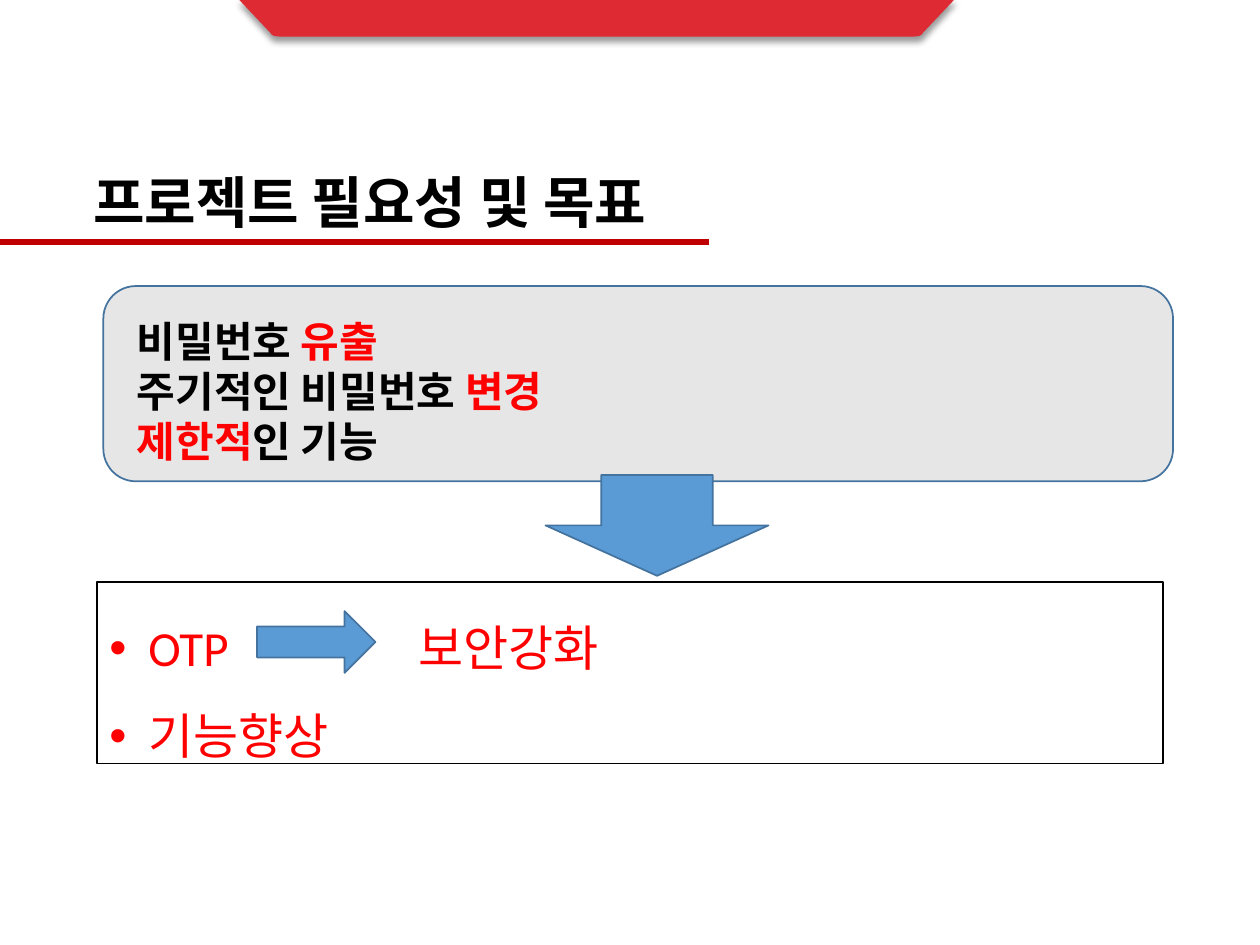
from lxml import etree
from pptx import Presentation, util as u
from pptx.dml.color import RGBColor
from pptx.enum import shapes, text
from pptx.oxml import parse_xml
from pptx.oxml.ns import qn

# The grid has 100 columns and 75 rows, each a tenth of an inch.
COLS, ROWS = 100, 75
CELL = u.Inches(0.1)

BLACK = RGBColor(0, 0, 0)
RED = RGBColor(0xFF, 0, 0)
CRIMSON = RGBColor(0xDE, 0x2A, 0x33)
DARK = RGBColor(0xC0, 0, 0)
GREY = RGBColor(0xE7, 0xE6, 0xE6)
BLUE = RGBColor(0x5B, 0x9B, 0xD5)
NAVY = RGBColor(0x43, 0x73, 0x9E)
KIND = shapes.MSO_SHAPE
NS = 'xmlns:a="http://schemas.openxmlformats.org/drawingml/2006/main"'


def grid(*nums):
    return [round(n * CELL) for n in nums]


def write(para, words, size=24, font="Calibri", color=BLACK, bold=False):
    run = para.add_run()
    run.text = words
    run.font.size = u.Pt(size)
    run.font.name = font
    run.font.bold = bold
    run.font.color.rgb = color


def draw(slide, kind, box, fill=None, line=NAVY, width=1):
    shape = slide.shapes.add_shape(kind, *grid(*box))
    shape.shadow.inherit = False
    if fill is None:
        shape.fill.background()
    else:
        shape.fill.solid()
        shape.fill.fore_color.rgb = fill
    shape.line.color.rgb = line
    shape.line.width = u.Pt(width)
    return shape


def curve(a, b, c, d, steps=6):
    """Points after a on the cubic from a to d."""
    out = []
    for i in range(1, steps + 1):
        t = i / steps
        s = 1 - t
        out.append(tuple(s**3 * p + 3 * s * s * t * q + 3 * s * t * t * r + t**3 * e
                         for p, q, r, e in zip(a, b, c, d)))
    return out


def banner(slide, box):
    """Tab with slanted sides and rounded lower corners."""
    left, top, wide, high = box
    mid, low = left + wide / 2, top + high
    bend = curve((25.2, low), (25.6, low), (25.8, low - 0.1), (25.9, low - 0.3))
    half = [(25.2, low)] + bend + [(wide / 2, top)]
    edge = [(mid + x, y) for x, y in half]
    edge += [(mid - x, y) for x, y in reversed(half)]
    pen = slide.shapes.build_freeform(*grid(*edge[0]), scale=1.0)
    pen.add_line_segments([grid(*p) for p in edge[1:]], close=True)
    shape = pen.convert_to_shape()
    shape.fill.solid()
    shape.fill.fore_color.rgb = CRIMSON
    shape.line.fill.background()
    shape.shadow.inherit = False
    glow = shape._element.spPr.find(qn("a:effectLst"))
    glow.append(parse_xml(
        f'<a:outerShdw {NS} blurRad="{u.Pt(4)}" dist="{u.Pt(3)}" dir="5400000" '
        'algn="t" rotWithShape="0"><a:srgbClr val="000000">'
        '<a:alpha val="40000"/></a:srgbClr></a:outerShdw>'))


def title(slide, box, words):
    left, top, wide, high = box
    base = top + high
    rule = slide.shapes.add_connector(
        shapes.MSO_CONNECTOR.STRAIGHT, *grid(0, base, left + wide, base))
    rule.line.color.rgb = DARK
    rule.line.width = u.Pt(3)
    etree.SubElement(rule._element.spPr, qn("a:effectLst"))
    frame = slide.shapes.add_textbox(*grid(*box)).text_frame
    frame.word_wrap = False
    frame.auto_size = text.MSO_AUTO_SIZE.SHAPE_TO_FIT_TEXT
    write(frame.paragraphs[0], words, size=32, bold=True)


def needs(slide, box, lines):
    frame = draw(slide, KIND.ROUNDED_RECTANGLE, box, GREY).text_frame
    frame.vertical_anchor = text.MSO_ANCHOR.MIDDLE
    frame.margin_left, frame.margin_top = grid(1.9, 1.6)
    for i, parts in enumerate(lines):
        para = frame.add_paragraph() if i else frame.paragraphs[0]
        para.alignment = text.PP_ALIGN.LEFT
        for words, color in parts:
            write(para, words, font="Arial", color=color, bold=True)


def goals(slide, box, items):
    left, top, wide, high = box
    frame = draw(slide, KIND.RECTANGLE, box, line=BLACK, width=0.75).text_frame
    frame.word_wrap = True
    frame.vertical_anchor = text.MSO_ANCHOR.TOP
    hang, stop = grid(3.1, 24.5)
    for i, words in enumerate(items):
        para = frame.add_paragraph() if i else frame.paragraphs[0]
        para.alignment = text.PP_ALIGN.LEFT
        para.line_spacing = 1.5
        props = para._p.get_or_add_pPr()
        props.set("marL", str(hang))
        props.set("indent", str(-hang))
        for part in (f'<a:buFont {NS} typeface="Arial"/>',
                     f'<a:buChar {NS} char="•"/>',
                     f'<a:tabLst {NS}><a:tab pos="{stop}" algn="l"/></a:tabLst>'):
            props.append(parse_xml(part))
        write(para, words, size=28, color=RED)
    draw(slide, KIND.RIGHT_ARROW, (left + 12.7, top + 2.3, 9.4, 4.9), BLUE)


def main():
    deck = Presentation()
    deck.slide_width, deck.slide_height = grid(COLS, ROWS)
    slide = deck.slides.add_slide(deck.slide_layouts[6])
    banner(slide, (18.9, -0.1, 56.9, 3))
    title(slide, (6.4, 12.8, 49.9, 6.4), "프로젝트 필요성 및 목표")
    needs(slide, (8.2, 22.7, 84.9, 15.5), [
        [("비밀번호 ", BLACK), ("유출", RED)],
        [("주기적인 비밀번호", BLACK), (" 변경", RED)],
        [("제한적", RED), ("인 기능", BLACK)],
    ])
    draw(slide, KIND.DOWN_ARROW, (43.3, 37.7, 17.7, 8), BLUE)
    goals(slide, (7.7, 46.2, 84.6, 14.4), ["OTP\t보안강화", "기능향상"])
    deck.save("out.pptx")


if __name__ == "__main__":
    main()
